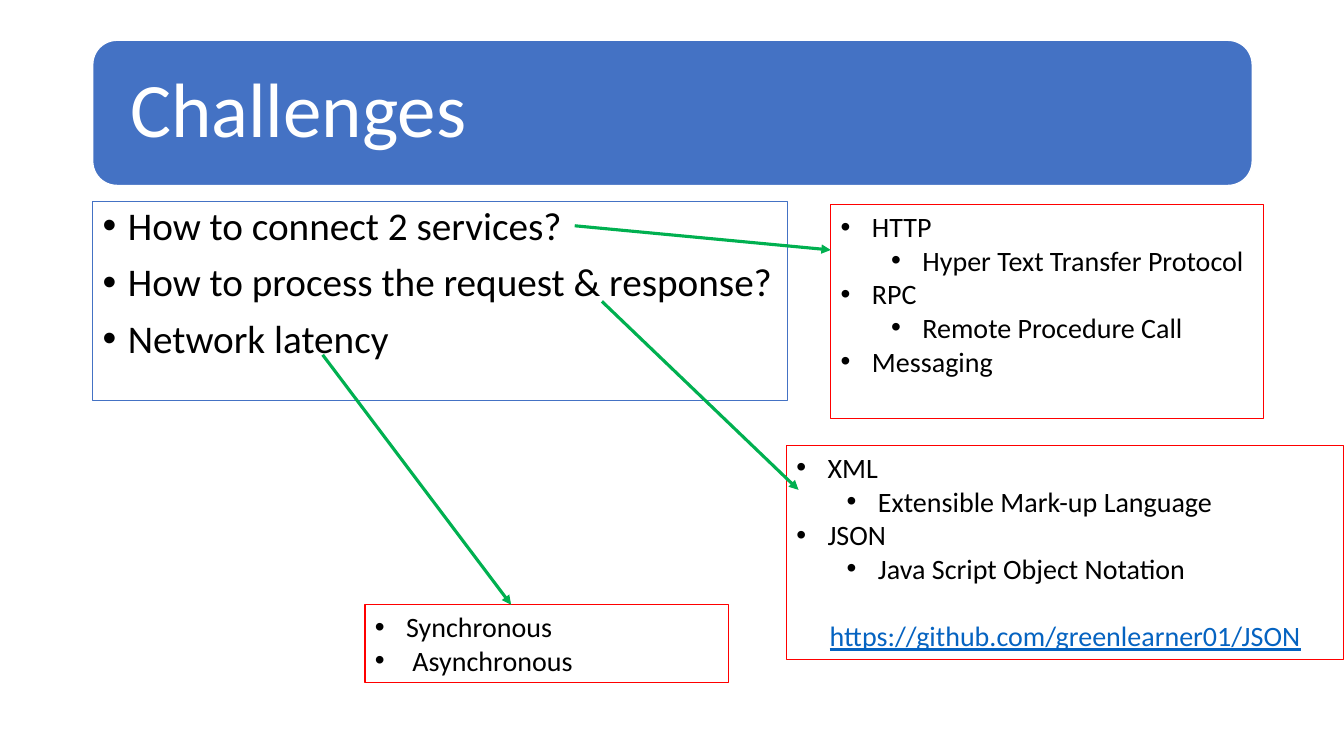
import pptx
import pptx.util
from lxml import etree
from pptx.dml.color import RGBColor
from pptx.enum.shapes import MSO_CONNECTOR, MSO_SHAPE
from pptx.enum.text import MSO_ANCHOR, PP_ALIGN
from pptx.oxml.ns import qn
from pptx.util import Inches

BLUE = RGBColor(0x44, 0x72, 0xC4)
RED = RGBColor(0xFF, 0x00, 0x00)
GREEN = RGBColor(0x00, 0xB0, 0x50)
LINK_BLUE = RGBColor(0x05, 0x63, 0xC1)
BLACK = RGBColor(0x00, 0x00, 0x00)
WHITE = RGBColor(0xFF, 0xFF, 0xFF)


def write(paragraph, text, size, color, **formats):
    run = paragraph.add_run()
    run.text = text
    run.font.color.rgb = color
    values = {"name": "Calibri", "size": pptx.util.Pt(size), **formats}
    for attribute, value in values.items():
        setattr(run.font, attribute, value)


def add_bullets(place, outline, items, size, indent, **spacing):
    """Add an outlined box of (level, text) bullets and return its text frame."""
    box = slide.shapes.add_textbox(*map(Inches, place))
    box.line.color.rgb = outline
    box.line.width = pptx.util.Pt(0.75)
    frame = box.text_frame
    frame.word_wrap = True
    for index, (level, text) in enumerate(items):
        paragraph = frame.add_paragraph() if index else frame.paragraphs[0]
        paragraph.level = level
        properties = paragraph._p.get_or_add_pPr()
        properties.set("marL", str(Inches(indent + 0.5 * level)))
        properties.set("indent", str(Inches(-indent)))
        etree.SubElement(properties, qn("a:buFont"), typeface="Arial")
        etree.SubElement(properties, qn("a:buChar"), char="•")
        for attribute, value in spacing.items():
            if index or attribute != "space_before":
                setattr(paragraph, attribute, value)
        write(paragraph, text, size, BLACK)
    return frame


deck = pptx.Presentation()
deck.slide_width, deck.slide_height = Inches(13.33), Inches(7.5)
slide = deck.slides.add_slide(deck.slide_layouts[6])

# Title banner
banner = slide.shapes.add_shape(
    MSO_SHAPE.ROUNDED_RECTANGLE, Inches(0.92), Inches(0.4), Inches(11.5), Inches(1.44))
banner.shadow.inherit = False
banner.fill.solid()
banner.fill.fore_color.rgb = BLUE
banner.line.color.rgb = WHITE
banner.line.width = pptx.util.Pt(1)
title = banner.text_frame
title.margin_left = title.margin_right = Inches(0.3)
title.vertical_anchor = MSO_ANCHOR.MIDDLE
title.paragraphs[0].alignment = PP_ALIGN.LEFT
title.paragraphs[0].line_spacing = 0.9
write(title.paragraphs[0], "Challenges", 55, WHITE)

# Questions
questions = [
    (0, "How to connect 2 services?"),
    (0, "How to process the request & response?"),
    (0, "Network latency"),
]
add_bullets((0.92, 2, 6.89, 1.97), BLUE, questions, 28, 0.25,
            line_spacing=0.9, space_before=pptx.util.Pt(10))

# Answers
protocols = [
    (0, "HTTP"),
    (1, "Hyper Text Transfer Protocol"),
    (0, "RPC"),
    (1, "Remote Procedure Call"),
    (0, "Messaging"),
]
data_formats = [
    (0, "XML"),
    (1, "Extensible Mark-up Language"),
    (0, "JSON"),
    (1, "Java Script Object Notation"),
]
call_styles = [(0, "Synchronous"), (0, " Asynchronous")]
add_bullets((8.24, 2.03, 4.29, 2.12), RED, protocols, 20, 0.31)
formats_frame = add_bullets((7.8, 4.42, 5.53, 2.12), RED, data_formats, 20, 0.31)
add_bullets((3.62, 6, 3.61, 0.77), RED, call_styles, 20, 0.31)

address = formats_frame.add_paragraph()
address.alignment = PP_ALIGN.CENTER
address.space_before = pptx.util.Pt(24)
write(address, "https://github.com/greenlearner01/JSON", 20, LINK_BLUE, underline=True)

# Arrows from each question to its answers
arrows = [
    (5.7, 2.24, 8.24, 2.48),
    (5.97, 2.99, 7.92, 4.86),
    (3.2, 3.52, 5.07, 6),
]
for ends in arrows:
    arrow = slide.shapes.add_connector(MSO_CONNECTOR.STRAIGHT, *map(Inches, ends))
    arrow.line.color.rgb = GREEN
    arrow.line.width = pptx.util.Pt(2.25)
    etree.SubElement(arrow.line._get_or_add_ln(), qn("a:tailEnd"), type="triangle")
    etree.SubElement(arrow._element.spPr, qn("a:effectLst"))

deck.save("out.pptx")
